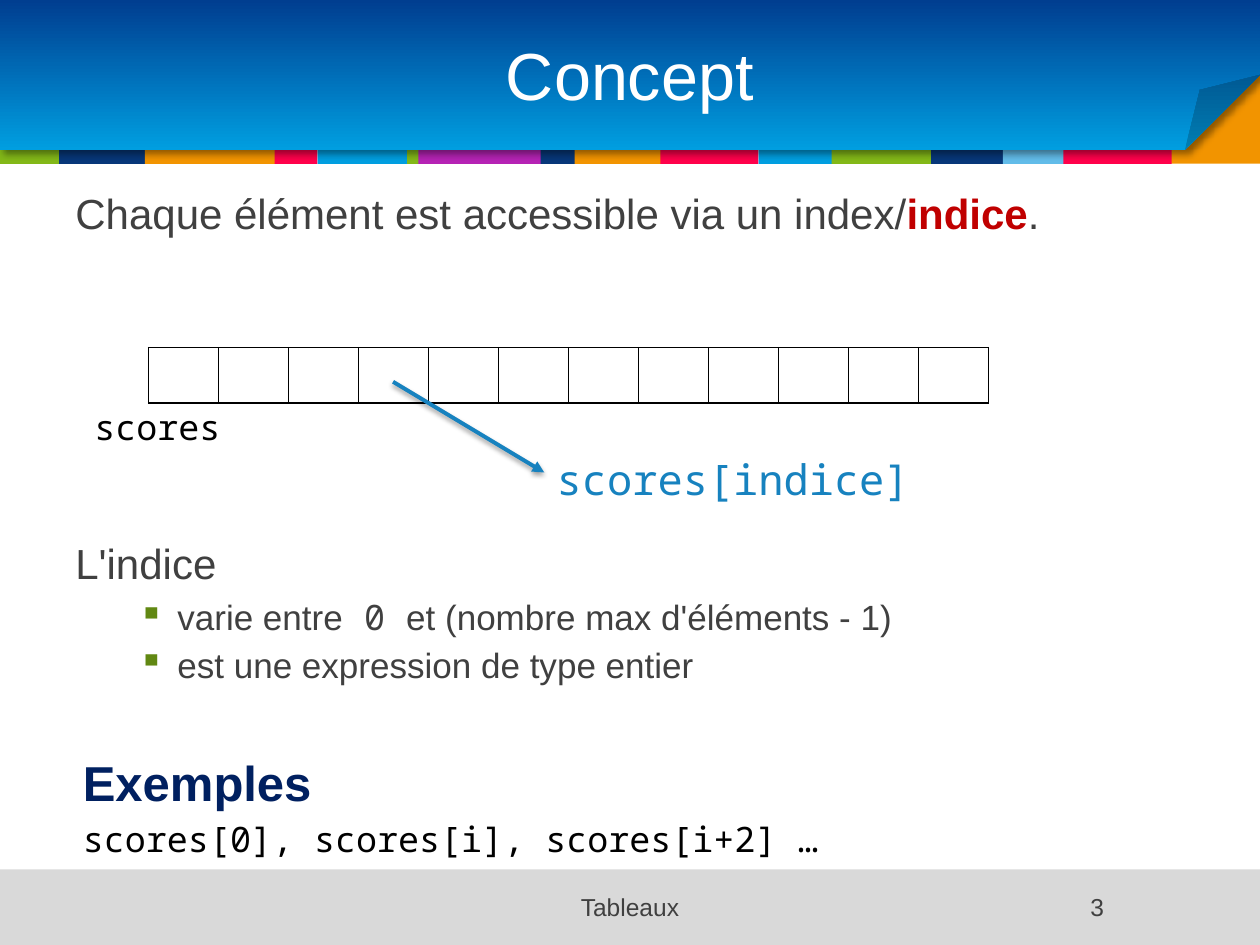
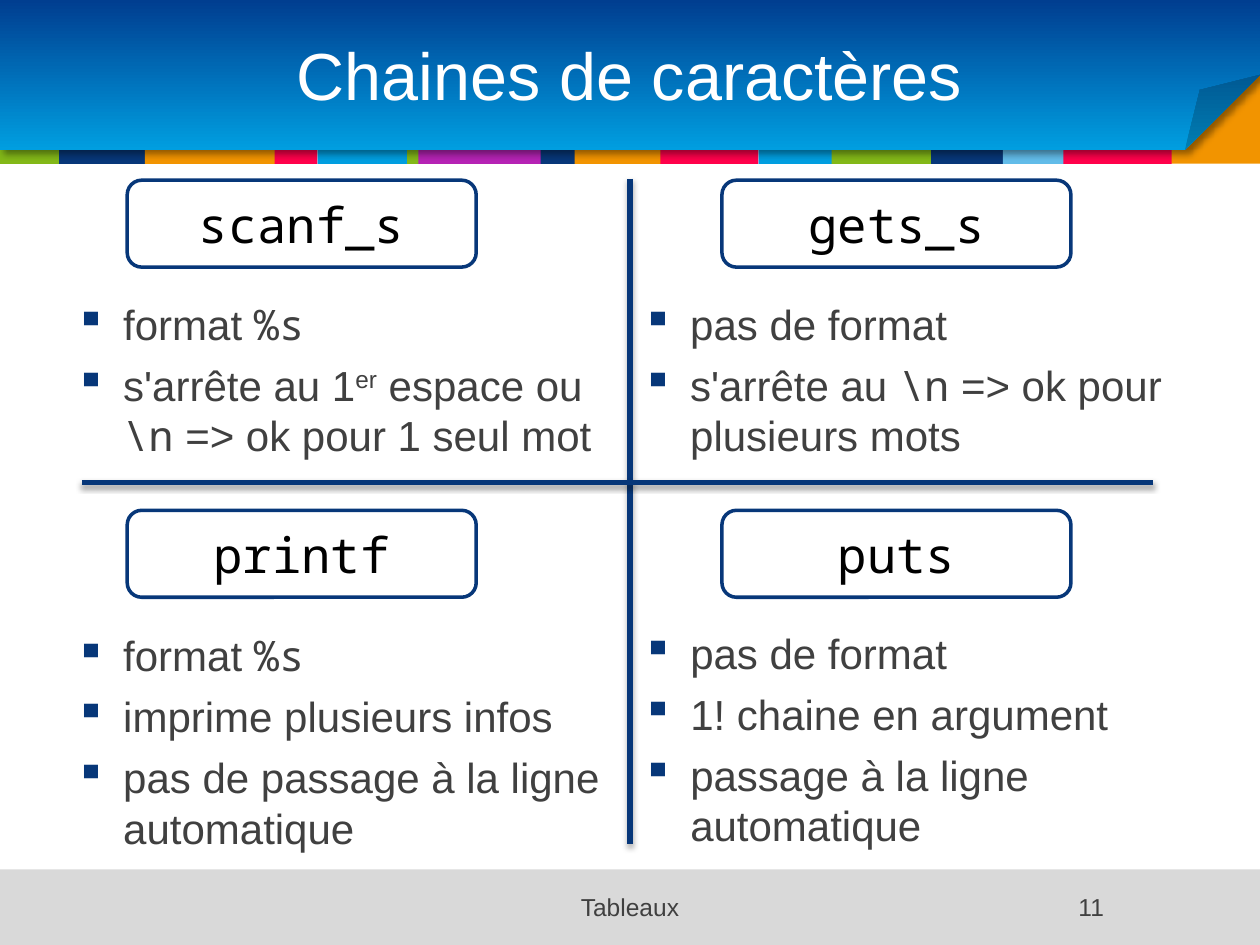
from lxml import etree
from pptx import Presentation
from pptx.dml.color import RGBColor
from pptx.enum.shapes import MSO_CONNECTOR as Link, MSO_SHAPE as Form
from pptx.enum.text import MSO_ANCHOR as Anchor, PP_ALIGN as Align
from pptx.oxml.ns import qn
from pptx.util import Inches, Pt

BLACK = RGBColor(0x00, 0x00, 0x00)
WHITE = RGBColor(0xFF, 0xFF, 0xFF)
GRAY = RGBColor(0x40, 0x40, 0x40)
PALE = RGBColor(0xD9, 0xD9, 0xD9)
NAVY = RGBColor(0x07, 0x37, 0x79)
INK = RGBColor(0x00, 0x20, 0x60)
DEEP = RGBColor(0x00, 0x3E, 0x90)
BLUE = RGBColor(0x00, 0x9E, 0xE0)
SKY = RGBColor(0x62, 0xBC, 0xE9)
STEEL = RGBColor(0x17, 0x82, 0xBF)
LIME = RGBColor(0x83, 0xB8, 0x18)
MOSS = RGBColor(0x61, 0x88, 0x12)
GOLD = RGBColor(0xF2, 0x94, 0x00)
PINK = RGBColor(0xFF, 0x01, 0x4B)
PLUM = RGBColor(0xB5, 0x23, 0xB4)
RED = RGBColor(0xC0, 0x00, 0x00)

SANS, MONO = "Arial", "Noto Sans Mono"
BODY = {"name": SANS, "size": Pt(24), "color": GRAY}
ITEM = {**BODY, "size": Pt(20)}
TITLE = {"name": SANS, "size": Pt(38), "color": WHITE}
FOOT = {**BODY, "size": Pt(14)}
HEAD = {"name": SANS, "size": Pt(28), "color": INK, "bold": True}
STRONG = {**BODY, "color": RED, "bold": True}
CODE = {"name": MONO, "size": Pt(20), "color": BLACK}
TAG = {**CODE, "size": Pt(28)}
CALL = {**CODE, "size": Pt(24), "color": STEEL}
BITS = {**BODY, "name": MONO}
SUPER = {**BODY, "raised": True}

DOT = {"mark": NAVY, "left": 0.38, "hang": 0.38, "gap": 6}
SUB = {"mark": MOSS, "left": 0.81, "hang": 0.31, "gap": 3}

BANDS = [
    (2.97, 0.51, LIME), (0, 0.51, LIME), (0.47, 0.69, NAVY),
    (1.15, 1.1, GOLD), (2.18, 0.34, PINK), (2.52, 0.71, BLUE),
    (3.32, 1.01, PLUM), (4.29, 0.28, NAVY), (4.56, 0.71, GOLD),
    (5.24, 0.78, PINK), (6.02, 0.61, BLUE), (6.6, 0.91, LIME),
    (7.39, 0.58, NAVY), (7.96, 0.5, SKY), (8.44, 0.86, PINK),
]


def add_node(base, tag, **attrs):
    """Append an XML child with the given attributes."""
    node = etree.SubElement(base, qn(tag))
    for key, val in attrs.items():
        node.set(key, str(val))
    return node


def add_shade(shape, alpha, blur, dist, angle):
    """Give a shape or connector a soft black shadow."""
    props = shape.element.spPr
    glow = props.find(qn("a:effectLst"))
    if glow is None:
        glow = add_node(props, "a:effectLst")
    drop = add_node(glow, "a:outerShdw", blurRad=Pt(blur), dist=Pt(dist),
                    dir=angle * 60000, algn="ctr", rotWithShape=0)
    tint = add_node(drop, "a:srgbClr", val=BLACK)
    add_node(tint, "a:alpha", val=alpha * 1000)


def add_runs(para, runs):
    """Write (text, style) runs into a paragraph."""
    for text, style in runs:
        run = para.add_run()
        run.text = text
        for key, val in style.items():
            if key == "color":
                run.font.color.rgb = val
            elif key == "raised":
                run.font._element.set("baseline", "30000")
            else:
                setattr(run.font, key, val)


def add_mark(para, mark, left, hang, gap):
    """Turn a paragraph into a square-bulleted item."""
    para.space_after = Pt(gap)
    props = para._p.get_or_add_pPr()
    props.set("marL", str(Inches(left)))
    props.set("indent", str(-Inches(hang)))
    add_node(add_node(props, "a:buClr"), "a:srgbClr", val=mark)
    add_node(props, "a:buChar", char="▪")


def add_text(slide, box, paras, align=Align.LEFT, anchor=Anchor.TOP,
             bullet=None, pitch=None):
    """Place a wrapped text box holding paragraphs of runs."""
    frame = slide.shapes.add_textbox(*map(Inches, box)).text_frame
    frame.word_wrap = True
    frame.vertical_anchor = anchor
    for i, runs in enumerate(paras):
        para = frame.add_paragraph() if i else frame.paragraphs[0]
        para.alignment = align
        if pitch:
            para.line_spacing = Pt(pitch)
        if bullet:
            add_mark(para, **bullet)
        add_runs(para, runs)


def add_box(slide, form, box, fill, line=None):
    """Place a flat preset shape."""
    shape = slide.shapes.add_shape(form, *map(Inches, box))
    shape.shadow.inherit = False
    shape.fill.solid()
    shape.fill.fore_color.rgb = fill
    if line:
        shape.line.color.rgb = line
        shape.line.width = Pt(2)
    else:
        shape.line.fill.background()
    return shape


def add_tag(slide, x, y, text):
    """Place a rounded frame with a function name."""
    shape = add_box(slide, Form.ROUNDED_RECTANGLE, (x, y, 2.77, 0.69),
                    WHITE, NAVY)
    frame = shape.text_frame
    frame.vertical_anchor = Anchor.MIDDLE
    frame.paragraphs[0].alignment = Align.CENTER
    add_runs(frame.paragraphs[0], [(text, TAG)])


def add_line(slide, ends, color, width, shade, arrow=False):
    """Draw a shadowed straight line, with an arrowhead if asked."""
    line = slide.shapes.add_connector(Link.STRAIGHT, *map(Inches, ends))
    line.line.color.rgb = color
    line.line.width = Pt(width)
    if arrow:
        add_node(line.element.spPr.find(qn("a:ln")), "a:tailEnd",
                 type="triangle")
    add_shade(line, *shade)


def add_cells(slide, x, y, width, height, count):
    """Draw an empty one-row table with thin black borders."""
    table = slide.shapes.add_table(
        1, count, *map(Inches, (x, y, width, height))).table
    table.first_row = table.horz_banding = False
    for cell in table.iter_cells():
        props = cell._tc.get_or_add_tcPr()
        for side in ("a:lnL", "a:lnR", "a:lnT", "a:lnB"):
            edge = add_node(props, side, w=Pt(1))
            add_node(add_node(edge, "a:solidFill"), "a:srgbClr", val=BLACK)
        cell.fill.background()


def add_fold(slide):
    """Draw the gradient banner with its folded corner."""
    top = add_box(slide, Form.FOLDED_CORNER, (0, 0, 10, 1.19), BLUE)
    geom = top.element.spPr.find(qn("a:prstGeom"))
    guides = geom.find(qn("a:avLst"))
    if guides is None:
        guides = add_node(geom, "a:avLst")
    add_node(guides, "a:gd", name="adj", fmla="val 50000")
    top.fill.gradient()
    top.fill.gradient_angle = 90
    for stop, color in zip(top.fill.gradient_stops, (BLUE, DEEP)):
        stop.color.rgb = color
    add_shade(top, 40, 4, 3, 45)


def add_page(deck, title, number):
    """Start a slide with the shared banner, title and footer."""
    slide = deck.slides.add_slide(deck.slide_layouts[6])
    add_box(slide, Form.RECTANGLE, (9.21, 0.47, 0.79, 0.83), GOLD)
    for x, width, color in BANDS:
        add_box(slide, Form.RECTANGLE, (x, 0.81, width, 0.49), color)
    add_fold(slide)
    add_box(slide, Form.RECTANGLE, (0, 6.9, 10, 0.6), PALE)
    add_text(slide, (0.5, 0.07, 9, 1.03), [[(title, TITLE)]],
             Align.CENTER, Anchor.MIDDLE)
    add_text(slide, (2.56, 7.03, 4.88, 0.37), [[("Tableaux", FOOT)]],
             Align.CENTER)
    add_text(slide, (7.68, 7.03, 1.18, 0.37), [[(number, FOOT)]],
             Align.RIGHT)
    return slide


def add_idea(deck):
    """Build the slide on array indices."""
    slide = add_page(deck, "Concept", "3")
    add_text(slide, (0.5, 1.44, 9, 0.5), [[
        ("Chaque élément est accessible via un index/", BODY),
        ("indice", STRONG), (".", BODY)]], pitch=28.8)
    add_cells(slide, 1.18, 2.76, 6.67, 0.44, 12)
    add_text(slide, (0.65, 3.17, 1.63, 0.44), [[("scores", CODE)]])
    add_text(slide, (4.32, 3.55, 3.01, 0.5), [[("scores[indice]", CALL)]])
    add_line(slide, (3.12, 3.03, 4.32, 3.75), STEEL, 2.25,
             (38, 3.1, 1.6, 90), True)
    add_text(slide, (0.5, 4.22, 9, 0.5), [[("L'indice", BODY)]], pitch=28.8)
    add_text(slide, (0.5, 4.68, 9, 0.85), [
        [("varie entre", ITEM), (" 0 ", {**ITEM, "name": MONO}),
         ("et (nombre max d'éléments - 1)", ITEM)],
        [("est une expression de type entier", ITEM)],
    ], bullet=SUB, pitch=24)
    add_text(slide, (0.56, 5.92, 9, 0.55), [[("Exemples", HEAD)]], pitch=33.6)
    add_text(slide, (0.56, 6.44, 9, 0.43),
             [[("scores[0], scores[i], scores[i+2] …", CODE)]], pitch=24)


def add_grid(deck):
    """Build the slide comparing four string functions."""
    slide = add_page(deck, "Chaines de caractères", "11")
    panels = [
        (1.01, 1.43, "scanf_s", (0.5, 2.32, 4.5, 1.45), [
            [("format ", BODY), ("%s", BITS)],
            [("s'arrête au 1", BODY), ("er", SUPER), (" espace ou ", BODY),
             ("\\n", BITS), (" => ok pour 1 seul mot", BODY)]]),
        (5.73, 1.43, "gets_s", (5, 2.32, 4.5, 1.45), [
            [("pas de format", BODY)],
            [("s'arrête au ", BODY), ("\\n", BITS),
             (" => ok pour plusieurs mots", BODY)]]),
        (1.01, 4.05, "printf", (0.5, 4.95, 4.5, 1.9), [
            [("format ", BODY), ("%s", BITS)],
            [("imprime plusieurs infos", BODY)],
            [("pas de passage à la ligne automatique", BODY)]]),
        (5.73, 4.05, "puts", (5, 4.93, 4.35, 1.9), [
            [("pas de format", BODY)],
            [("1! chaine en argument", BODY)],
            [("passage à la ligne automatique", BODY)]]),
    ]
    for x, y, name, box, items in panels:
        add_tag(slide, x, y, name)
        add_text(slide, box, items, bullet=DOT, pitch=28.8)
    for ends in ((5, 1.42, 5, 6.7), (0.65, 3.83, 9.15, 3.83)):
        add_line(slide, ends, NAVY, 3, (35, 3.1, 1.8, 90))


def main():
    """Build and save the two slides."""
    deck = Presentation()
    deck.slide_width, deck.slide_height = Inches(10), Inches(7.5)
    add_idea(deck)
    add_grid(deck)
    deck.save("out.pptx")


if __name__ == "__main__":
    main()
